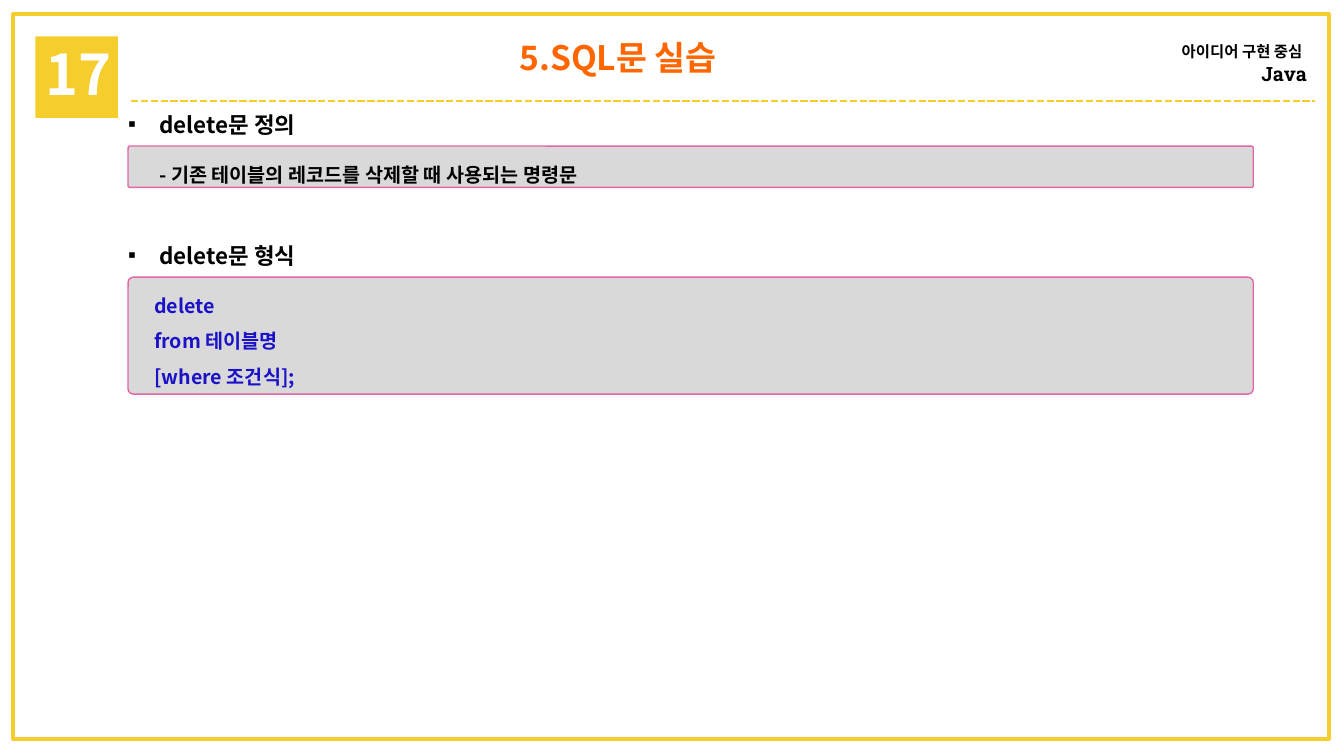
from dataclasses import dataclass

from lxml.etree import SubElement
from pptx import Presentation
from pptx.dml.color import RGBColor
from pptx.enum.dml import MSO_LINE
from pptx.enum.shapes import MSO_CONNECTOR, MSO_SHAPE
from pptx.enum.text import MSO_ANCHOR, MSO_AUTO_SIZE, PP_ALIGN
from pptx.oxml.ns import qn
from pptx.util import Inches, Pt

WIDTH, HEIGHT = Inches(13.33), Inches(7.5)
COMPARISON_LAYOUT = 4


@dataclass(frozen=True)
class Theme:
    yellow: str = "F5CD2D"
    orange: str = "FF6600"
    pink: str = "E367A5"
    grey: str = "D9D9D9"
    blue: str = "1B12C8"
    black: str = "000000"
    white: str = "FFFFFF"
    font: str = "Noto Sans CJK KR"
    slab: str = "Roboto Slab"
    number: int = 40
    title: int = 24
    heading: int = 16
    body: int = 14
    small: int = 11


THEME = Theme()


@dataclass(frozen=True)
class Area:
    """A rectangle in percent of the slide's width and height."""
    left: float
    top: float
    width: float
    height: float

    def lengths(self) -> dict:
        return {"left": across(self.left), "top": down(self.top),
                "width": across(self.width), "height": down(self.height)}


@dataclass(frozen=True)
class Style:
    size: int
    color: str = THEME.black
    font: str = THEME.font
    bold: bool = True


@dataclass(frozen=True)
class Section:
    top: float
    heading: str
    panel_height: float
    lines: tuple
    style: Style
    indent: float = 0


SECTIONS = (
    Section(14, "delete문 정의", 5.47,
            ("- 기존 테이블의 레코드를 삭제할 때 사용되는 명령문",),
            Style(THEME.body), indent=0.05),
    Section(31.33, "delete문 형식", 15.47,
            ("delete", "from 테이블명", "[where 조건식];"),
            Style(THEME.body, THEME.blue)),
)
PANEL_OFFSET = 5.33


def across(percent: float) -> int:
    return round(WIDTH * percent / 100)


def down(percent: float) -> int:
    return round(HEIGHT * percent / 100)


def assign(target, values: dict) -> None:
    for name, value in values.items():
        setattr(target, name, value)


def add_span(para, text: str, style: Style) -> None:
    span = para.add_run()
    span.text = text
    assign(span.font, {"size": Pt(style.size), "bold": style.bold, "name": style.font})
    span.font.color.rgb = RGBColor.from_string(style.color)
    SubElement(span.font._element, qn("a:ea"), typeface=THEME.font)


def write(box, area: Area, paragraphs: list, align=PP_ALIGN.LEFT,
          spacing: float = 1, indent: float = 0, bullet: str = "") -> None:
    """Place a text holder and fill it; each paragraph is a list of (text, style)."""
    assign(box, area.lengths())
    frame = box.text_frame
    assign(frame, {"word_wrap": True, "vertical_anchor": MSO_ANCHOR.TOP,
                   "auto_size": MSO_AUTO_SIZE.SHAPE_TO_FIT_TEXT})
    for index, spans in enumerate(paragraphs):
        para = frame.add_paragraph() if index else frame.paragraphs[0]
        properties = para._p.get_or_add_pPr()
        properties.set("marL", str(Inches(indent)))
        properties.set("indent", str(-Inches(indent) if bullet else 0))
        if bullet:
            SubElement(properties, qn("a:buChar"), char=bullet)
        else:
            SubElement(properties, qn("a:buNone"))
        assign(para, {"alignment": align, "line_spacing": spacing,
                      "space_before": Pt(0), "space_after": Pt(0)})
        for text, style in spans:
            add_span(para, text, style)


def add_block(page, kind, area: Area, fill: str = "", line: str = "", weight: float = 1):
    block = page.shapes.add_shape(kind, **area.lengths())
    block.shadow.inherit = False
    for paint, color in ((block.fill, fill), (block.line.fill, line)):
        if color:
            paint.solid()
            paint.fore_color.rgb = RGBColor.from_string(color)
        else:
            paint.background()
    if line:
        block.line.width = Pt(weight)
    return block


def add_header(page) -> None:
    add_block(page, MSO_SHAPE.RECTANGLE, Area(0.98, 1.87, 97.9, 95.87),
              line=THEME.yellow, weight=2.5)
    add_block(page, MSO_SHAPE.RECTANGLE, Area(2.63, 4.8, 6.15, 10.8), fill=THEME.yellow)
    rule = page.shapes.add_connector(MSO_CONNECTOR.STRAIGHT, across(9.75), down(13.33),
                                     across(97.82), down(13.33))
    assign(rule.line, {"width": Pt(1.75), "dash_style": MSO_LINE.SQUARE_DOT})
    rule.line.color.rgb = RGBColor.from_string(THEME.yellow)
    SubElement(rule._element.spPr, qn("a:effectLst"))

    number = Area(2.63, 4.53, 7.28, 10.27)
    write(page.shapes.add_textbox(**number.lengths()), number,
          [[("17", Style(THEME.number, THEME.white))]])
    course = Area(83.2, 4.4, 14.78, 7.6)
    write(page.shapes.add_textbox(**course.lengths()), course,
          [[("아이디어 구현 중심", Style(THEME.small)), (" ", Style(THEME.body, bold=False))],
           [("Java", Style(THEME.body, font=THEME.slab))]], align=PP_ALIGN.RIGHT)
    write(page.shapes.title, Area(10.73, 4.27, 70.52, 6.67),
          [[("5.SQL문 실습", Style(THEME.title, THEME.orange))]], align=PP_ALIGN.CENTER)


def add_section(page, section: Section, heading, body) -> None:
    write(heading, Area(8.78, section.top, 42.61, 4.93),
          [[(section.heading, Style(THEME.heading))]], indent=0.31, bullet="▪")
    top = section.top + PANEL_OFFSET
    panel = add_block(page, MSO_SHAPE.ROUNDED_RECTANGLE,
                      Area(9.53, top, 83.72, section.panel_height),
                      fill=THEME.grey, line=THEME.pink)
    panel.adjustments[0] = 0.045
    body.element.addprevious(panel.element)
    write(body, Area(10.73, top, 78.84, section.panel_height),
          [[(line, section.style)] for line in section.lines],
          spacing=1.5, indent=section.indent)


def main() -> None:
    deck = Presentation()
    assign(deck, {"slide_width": WIDTH, "slide_height": HEIGHT})
    page = deck.slides.add_slide(deck.slide_layouts[COMPARISON_LAYOUT])
    add_header(page)
    holders = [holder for holder in page.placeholders if holder != page.shapes.title]
    for section, heading, body in zip(SECTIONS, holders[::2], holders[1::2]):
        add_section(page, section, heading, body)
    deck.save("out.pptx")


if __name__ == "__main__":
    main()
